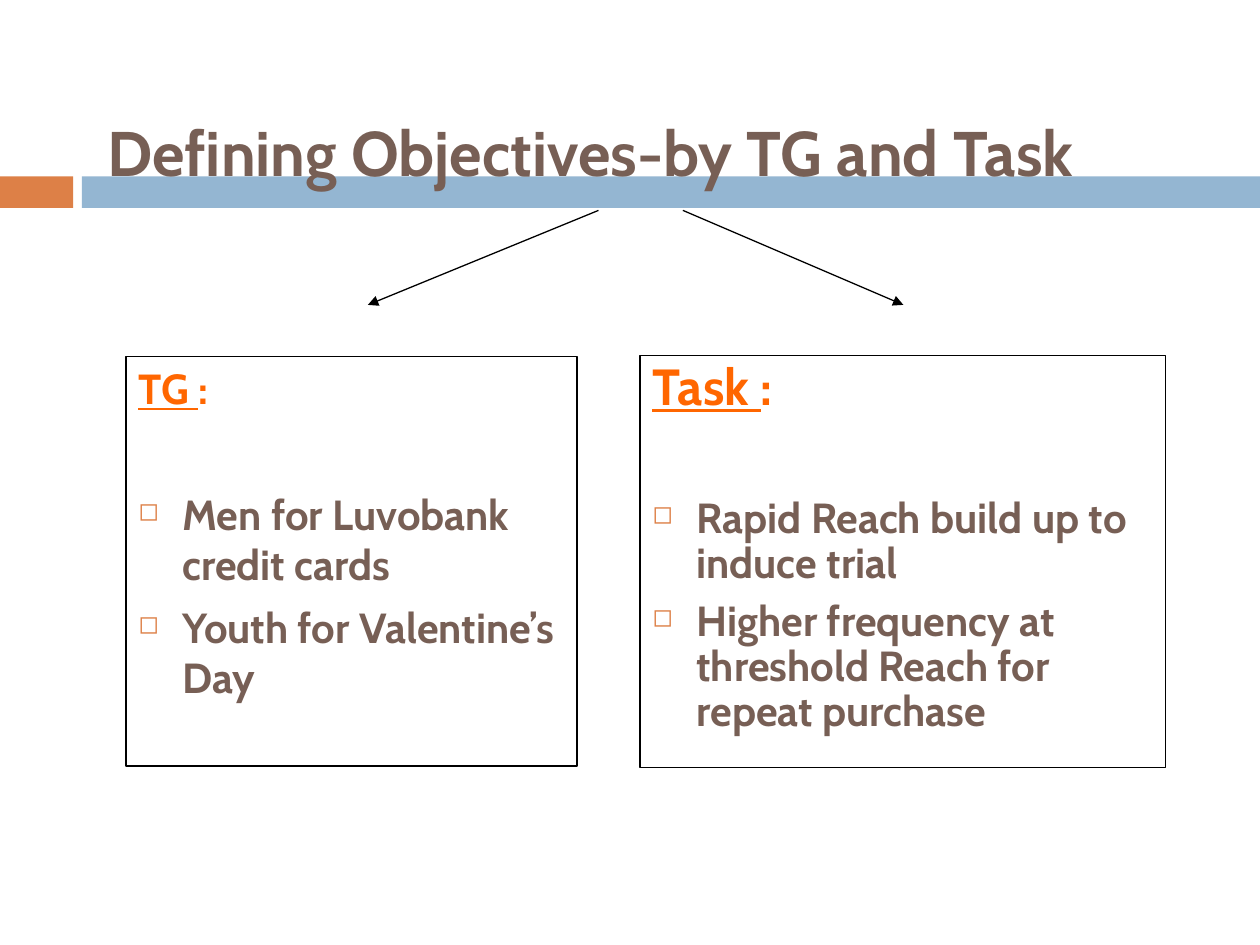
from dataclasses import dataclass

from lxml import etree
from pptx import Presentation
from pptx.dml.color import RGBColor
from pptx.enum import shapes, text
from pptx.oxml import ns
from pptx.util import Inches, Pt

BROWN = RGBColor(0x77, 0x5F, 0x55)
ORANGE = RGBColor(0xFF, 0x66, 0x00)
RUST = RGBColor(0xDD, 0x80, 0x47)
BLUE = RGBColor(0x94, 0xB6, 0xD2)
BLACK = RGBColor(0, 0, 0)
FONT = "Cabin"
HANGING = Inches(0.35)


@dataclass
class Bar:
    left: float
    width: float
    color: RGBColor


@dataclass
class Panel:
    left: float
    top: float
    width: float
    height: float
    heading: str
    heading_size: int
    heading_gap: int
    line_spacing: float
    items: list[str]


@dataclass
class Arrow:
    start_x: float
    end_x: float


BARS = [Bar(0, 0.58, RUST), Bar(0.65, 9.35, BLUE)]
PANELS = [
    Panel(1, 2.83, 3.58, 3.25, "TG ", 24, 43, 1.0,
          ["Men for Luvobank credit cards", "Youth for Valentine’s Day"]),
    Panel(5.08, 2.82, 4.17, 3.27, "Task ", 29, 46, 0.9,
          ["Rapid Reach build up to induce trial",
           "Higher frequency at threshold Reach for repeat purchase"]),
]
ARROWS = [Arrow(4.75, 2.92), Arrow(5.42, 7.17)]


def style_run(run, size: float, color: RGBColor, underline: bool = False) -> None:
    run.font.name = FONT
    run.font.size = Pt(size)
    run.font.bold = True
    run.font.underline = underline
    run.font.color.rgb = color


def add_rectangle(slide, left: float, top: float, width: float, height: float):
    rectangle = slide.shapes.add_shape(
        shapes.MSO_SHAPE.RECTANGLE,
        Inches(left), Inches(top), Inches(width), Inches(height))
    rectangle.shadow.inherit = False
    return rectangle


def draw_bar(slide, bar: Bar) -> None:
    band = add_rectangle(slide, bar.left, 1.4, bar.width, 0.25)
    band.fill.solid()
    band.fill.fore_color.rgb = bar.color
    band.line.fill.background()
    slide.shapes.title.element.addprevious(band.element)


def format_title(slide) -> None:
    title = slide.shapes.title
    title.left, title.top = Inches(0.75), Inches(0.58)
    title.width, title.height = Inches(8.5), Inches(1.25)
    title.text_frame.text = "Defining Objectives-by TG and Task"
    title.text_frame.vertical_anchor = text.MSO_ANCHOR.MIDDLE
    heading = title.text_frame.paragraphs[0]
    heading.alignment = text.PP_ALIGN.LEFT
    style_run(heading.runs[0], 36, BROWN)


def set_bullet(paragraph) -> None:
    properties = paragraph._p.get_or_add_pPr()
    properties.set("marL", str(HANGING))
    properties.set("indent", str(-HANGING))
    color = etree.SubElement(properties, ns.qn("a:buClr"))
    etree.SubElement(color, ns.qn("a:srgbClr"), val=str(RUST))
    etree.SubElement(properties, ns.qn("a:buSzPct"), val="60000")
    etree.SubElement(properties, ns.qn("a:buChar"), char="◻")


def draw_panel(slide, panel: Panel) -> None:
    box = add_rectangle(slide, panel.left, panel.top, panel.width, panel.height)
    box.fill.background()
    box.line.color.rgb = BLACK
    box.line.width = Pt(0.75)
    frame = box.text_frame
    frame.word_wrap = True
    frame.vertical_anchor = text.MSO_ANCHOR.TOP

    heading = frame.paragraphs[0]
    heading.text = panel.heading
    heading.add_run().text = ":"
    for run, underline in zip(heading.runs, (True, False)):
        style_run(run, panel.heading_size, ORANGE, underline)

    for index, item in enumerate(panel.items):
        bullet = frame.add_paragraph()
        bullet.text = item
        bullet.space_before = Pt(7 if index else panel.heading_gap)
        set_bullet(bullet)
        style_run(bullet.runs[0], 24, BROWN)

    for paragraph in frame.paragraphs:
        paragraph.alignment = text.PP_ALIGN.LEFT
        paragraph.line_spacing = panel.line_spacing


def draw_arrow(slide, arrow: Arrow) -> None:
    connector = slide.shapes.add_connector(
        shapes.MSO_CONNECTOR.STRAIGHT,
        Inches(arrow.start_x), Inches(1.67), Inches(arrow.end_x), Inches(2.42))
    connector.line.color.rgb = BLACK
    connector.line.width = Pt(0.75)
    properties = connector.element.spPr
    outline = properties.find(ns.qn("a:ln"))
    etree.SubElement(outline, ns.qn("a:tailEnd"), type="triangle")
    etree.SubElement(properties, ns.qn("a:effectLst"))


def main() -> None:
    deck = Presentation()
    deck.slide_width, deck.slide_height = Inches(10), Inches(7.5)
    slide = deck.slides.add_slide(deck.slide_layouts[5])
    format_title(slide)
    for bar in BARS:
        draw_bar(slide, bar)
    for panel in PANELS:
        draw_panel(slide, panel)
    for arrow in ARROWS:
        draw_arrow(slide, arrow)
    deck.save("out.pptx")


if __name__ == "__main__":
    main()
